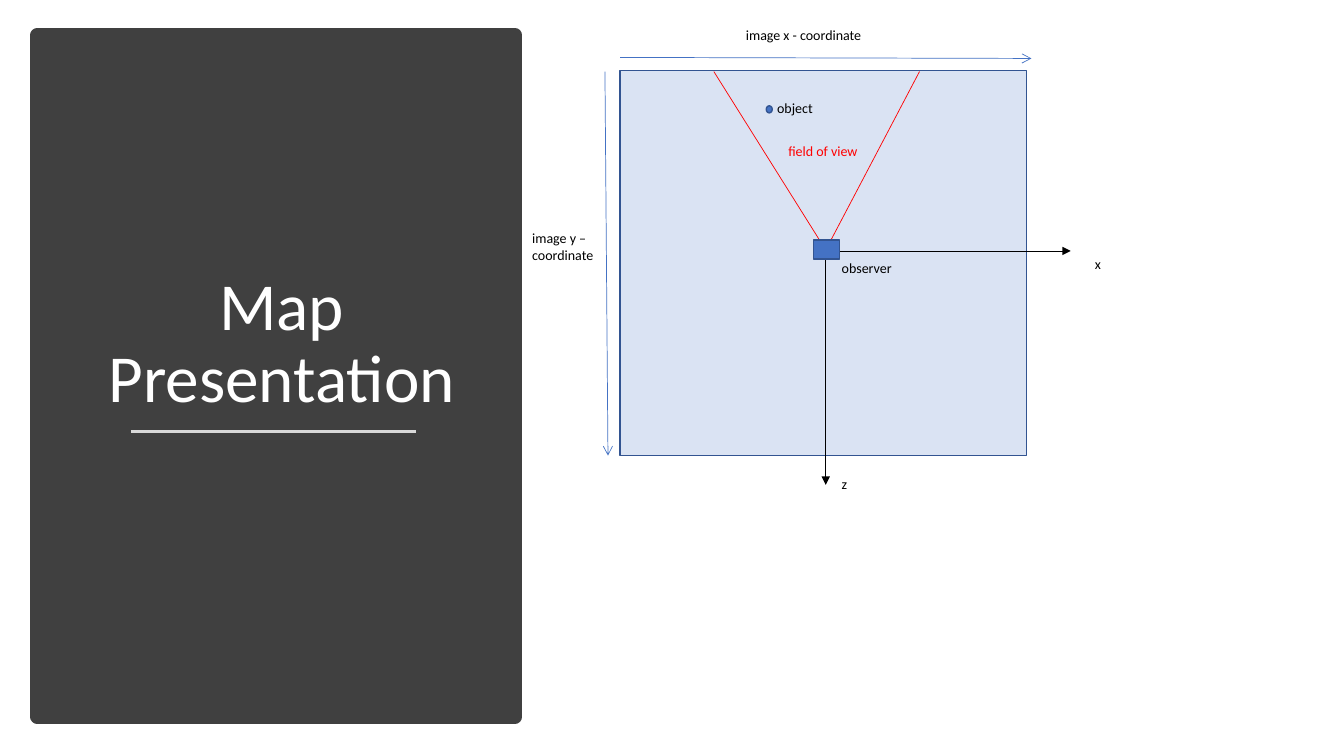
from lxml import etree
from pptx import Presentation
from pptx import util as u
from pptx.dml.color import RGBColor
from pptx.enum import shapes, text
from pptx.oxml.ns import qn

PX = 9144  # EMU in one px, 100 px to the inch
FONT = "Calibri"
BLACK = RGBColor(0x00, 0x00, 0x00)
WHITE = RGBColor(0xFF, 0xFF, 0xFF)
CHARCOAL = RGBColor(0x40, 0x40, 0x40)
SILVER = RGBColor(0xD9, 0xD9, 0xD9)
RED = RGBColor(0xFF, 0x00, 0x00)
BLUE = RGBColor(0x44, 0x72, 0xC4)
NAVY = RGBColor(0x32, 0x54, 0x91)
PALE_BLUE = RGBColor(0xDA, 0xE3, 0xF3)

RECTANGLE = shapes.MSO_SHAPE.RECTANGLE
OVAL = shapes.MSO_SHAPE.OVAL

# Content: shapes as (kind, box, fill, outline, outline width in points)
TITLE = "Map Presentation"
TITLE_BOX = (55, 100, 449, 319)
PANEL = (RECTANGLE, (37, 35, 474, 676), CHARCOAL, CHARCOAL, 10)
MAP = (RECTANGLE, (615, 70, 403, 382), PALE_BLUE, NAVY, 1)
MARKERS = [
    (OVAL, (760, 105, 6, 7), BLUE, NAVY, 1),
    (RECTANGLE, (807, 238, 26, 19), BLUE, NAVY, 1),
]

# Lines as (start, end, colour, width in points, arrowhead at the end)
EYE = (819, 248)
TITLE_RULE = ((130, 428), (413, 428), SILVER, 1.75, None)
MAP_LINES = [
    (EYE, (819, 481), BLACK, 0.5, "triangle"),
    ((819, 249), (1062, 249), BLACK, 0.5, "triangle"),
    (EYE, (912, 71), RED, 0.5, None),
    (EYE, (708, 71), RED, 0.5, None),
    ((615, 57), (1023, 58), BLUE, 0.5, "arrow"),
    ((600, 71), (603, 452), BLUE, 0.5, "arrow"),
]

LABELS = [
    ("z", (825, 467, 26, 27), BLACK),
    ("x", (1076, 249, 26, 27), BLACK),
    ("image x - coordinate", (730, 21, 137, 27), BLACK),
    ("image y –\vcoordinate", (518, 223, 82, 44), BLACK),
    ("field of view", (772, 136, 89, 27), RED),
    ("object", (761, 94, 56, 27), BLACK),
    ("observer", (825, 253, 71, 27), BLACK),
]


def scaled(lengths):
    return [length * PX for length in lengths]


def style_text(para, size, color):
    for span in para.runs:
        span.font.name = FONT
        span.font.size = u.Pt(size)
        span.font.color.rgb = color


def add_box(page, kind, box, fill, outline, width):
    shape = page.shapes.add_shape(kind, *scaled(box))
    shape.shadow.inherit = False
    shape.fill.solid()
    shape.fill.fore_color.rgb = fill
    shape.line.color.rgb = outline
    shape.line.width = u.Pt(width)


def add_line(page, start, end, color, width, arrowhead):
    line = page.shapes.add_connector(
        shapes.MSO_CONNECTOR.STRAIGHT, *scaled(start + end))
    line.line.color.rgb = color
    line.line.width = u.Pt(width)
    properties = line.element.spPr
    if arrowhead:
        outline = properties.find(qn("a:ln"))
        etree.SubElement(outline, qn("a:tailEnd"), type=arrowhead)
    etree.SubElement(properties, qn("a:effectLst"))


def add_label(page, words, box, color):
    label = page.shapes.add_textbox(*scaled(box))
    frame = label.text_frame
    frame.word_wrap = False
    frame.auto_size = text.MSO_AUTO_SIZE.SHAPE_TO_FIT_TEXT
    frame.text = words
    style_text(frame.paragraphs[0], 10, color)


def place_title(page):
    title = page.shapes.title
    title.element.getparent().append(title.element)  # in front of the panel
    title.left, title.top, title.width, title.height = scaled(TITLE_BOX)
    frame = title.text_frame
    frame.text = TITLE
    frame.word_wrap = True
    frame.auto_size = text.MSO_AUTO_SIZE.NONE
    frame.vertical_anchor = text.MSO_ANCHOR.BOTTOM
    para = frame.paragraphs[0]
    para.alignment = text.PP_ALIGN.CENTER
    para.line_spacing = 0.9
    para.space_after = u.Pt(6)
    style_text(para, 48, WHITE)


def main():
    deck = Presentation()
    deck.slide_width, deck.slide_height = scaled((1333, 750))
    page = deck.slides.add_slide(deck.slide_layouts[5])

    # Title panel
    add_box(page, *PANEL)
    add_line(page, *TITLE_RULE)
    place_title(page)

    # Map with axes, field of view and markers
    add_box(page, *MAP)
    for line in MAP_LINES:
        add_line(page, *line)
    for marker in MARKERS:
        add_box(page, *marker)
    for label in LABELS:
        add_label(page, *label)

    deck.save("out.pptx")


if __name__ == "__main__":
    main()
